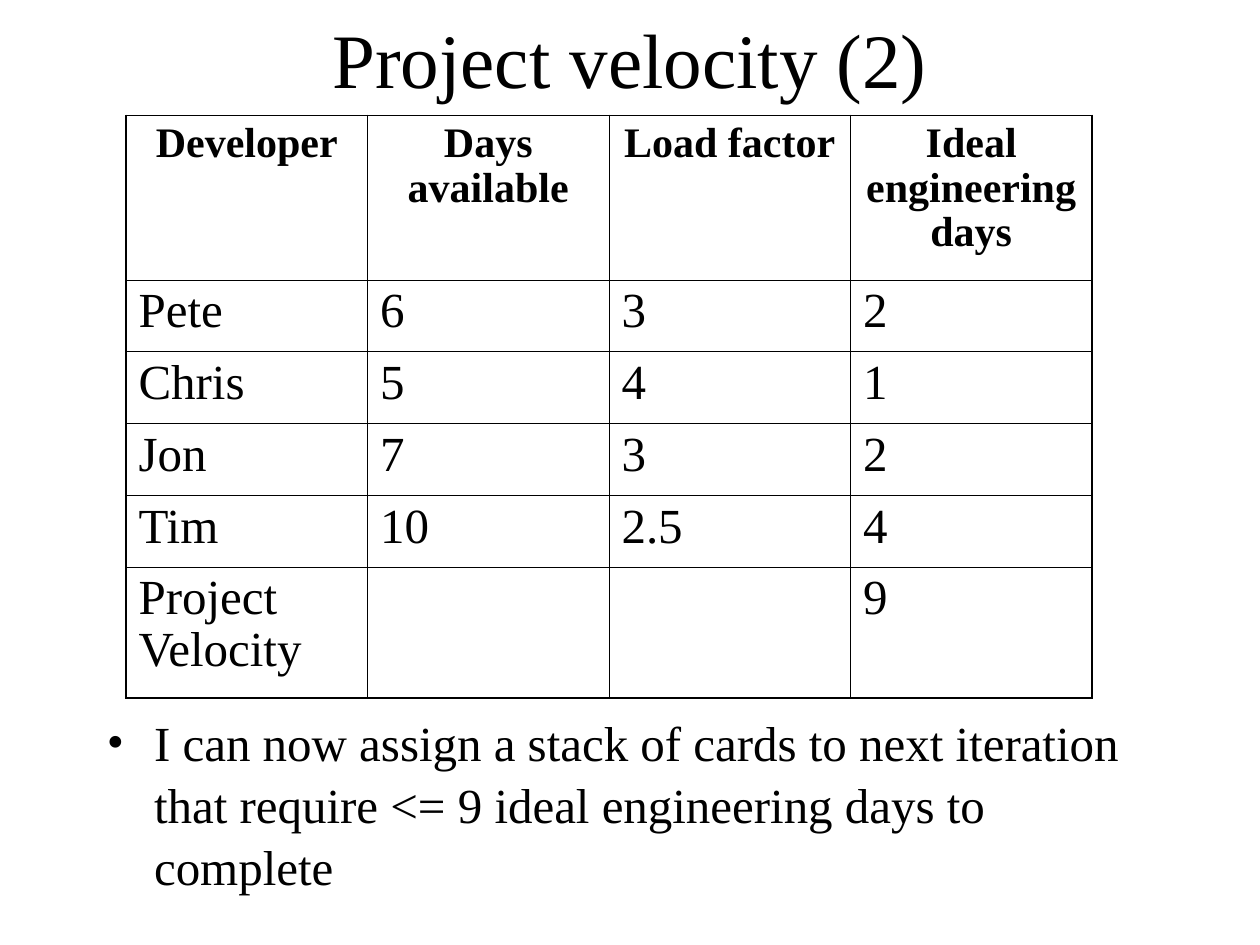
from pptx import Presentation
from pptx.dml.color import RGBColor
from pptx.enum.text import MSO_ANCHOR, PP_ALIGN
from pptx.oxml.ns import qn
from pptx.util import Pt
from lxml import etree

LEFT, CENTER = PP_ALIGN.LEFT, PP_ALIGN.CENTER
TOP, MIDDLE = MSO_ANCHOR.TOP, MSO_ANCHOR.MIDDLE
TITLE_ONLY = 5

FONT = "Times New Roman"
BLACK = "000000"
OUTER_LINE, INNER_LINE = 1.08, 0.45
COLUMN_WIDTH = 138
ROW_HEIGHTS = [94, 41, 41, 41, 41, 75]
VELOCITY_ROWS = [
    ["Developer", "Days available", "Load factor", "Ideal engineering days"],
    ["Pete", "6", "3", "2"],
    ["Chris", "5", "4", "1"],
    ["Jon", "7", "3", "2"],
    ["Tim", "10", "2.5", "4"],
    ["Project Velocity", "", "", "9"],
]


def color(value):
    return RGBColor.from_string(value)


def write_text(text_frame, text, size=28, bold=False, align=LEFT, spacing=None, bullet=None):
    paragraph = text_frame.paragraphs[0]
    paragraph.text = text
    paragraph.alignment = align
    paragraph.line_spacing = spacing
    if bullet:
        add_bullet(paragraph, bullet, indent=27)
    for run in paragraph.runs:
        run.font.name = FONT
        run.font.size = Pt(size)
        run.font.bold = bold
        run.font.color.rgb = color(BLACK)


def add_bullet(paragraph, character, indent):
    properties = paragraph._p.get_or_add_pPr()
    properties.set("marL", str(Pt(indent)))
    properties.set("indent", str(-Pt(indent)))
    etree.SubElement(properties, qn("a:buFont"), typeface=FONT)
    etree.SubElement(properties, qn("a:buChar"), char=character)


def set_borders(cell, widths):
    """Draw the left, right, top and bottom borders, in that order."""
    properties = cell._tc.get_or_add_tcPr()
    for side, width in zip("LRTB", widths):
        line = etree.SubElement(properties, qn(f"a:ln{side}"), w=str(Pt(width)))
        fill = etree.SubElement(line, qn("a:solidFill"))
        etree.SubElement(fill, qn("a:srgbClr"), val=BLACK)


def format_title(slide, text):
    title = slide.shapes.title
    title.left, title.top, title.width, title.height = Pt(54), Pt(0), Pt(612), Pt(66)
    title.text_frame.vertical_anchor = MIDDLE
    write_text(title.text_frame, text, size=44, align=CENTER)


def add_velocity_table(slide):
    row_count, column_count = len(VELOCITY_ROWS), len(VELOCITY_ROWS[0])
    table = slide.shapes.add_table(
        row_count, column_count, Pt(72), Pt(66),
        Pt(COLUMN_WIDTH * column_count), Pt(sum(ROW_HEIGHTS)),
    ).table
    table.first_row = table.horz_banding = False
    for column in table.columns:
        column.width = Pt(COLUMN_WIDTH)
    for row_index, values in enumerate(VELOCITY_ROWS):
        table.rows[row_index].height = Pt(ROW_HEIGHTS[row_index])
        header = row_index == 0
        for column_index, value in enumerate(values):
            cell = table.cell(row_index, column_index)
            on_edge = [column_index == 0, column_index == column_count - 1,
                       header, row_index == row_count - 1]
            set_borders(cell, [OUTER_LINE if edge else INNER_LINE for edge in on_edge])
            cell.fill.background()
            write_text(cell.text_frame, value, size=24 if header else 28, bold=header,
                       align=CENTER if header else LEFT, spacing=0.96)


def add_conclusion(slide, text):
    box = slide.shapes.add_textbox(Pt(54), Pt(402), Pt(612), Pt(120))
    box.text_frame.word_wrap = True
    box.text_frame.vertical_anchor = TOP
    write_text(box.text_frame, text, spacing=1.05, bullet="•")


def main():
    presentation = Presentation()
    presentation.slide_width, presentation.slide_height = Pt(720), Pt(540)
    slide = presentation.slides.add_slide(presentation.slide_layouts[TITLE_ONLY])
    format_title(slide, "Project velocity (2)")
    add_velocity_table(slide)
    add_conclusion(slide, "I can now assign a stack of cards to next iteration that require "
                          "<= 9 ideal engineering days to complete")
    presentation.save("out.pptx")


if __name__ == "__main__":
    main()
